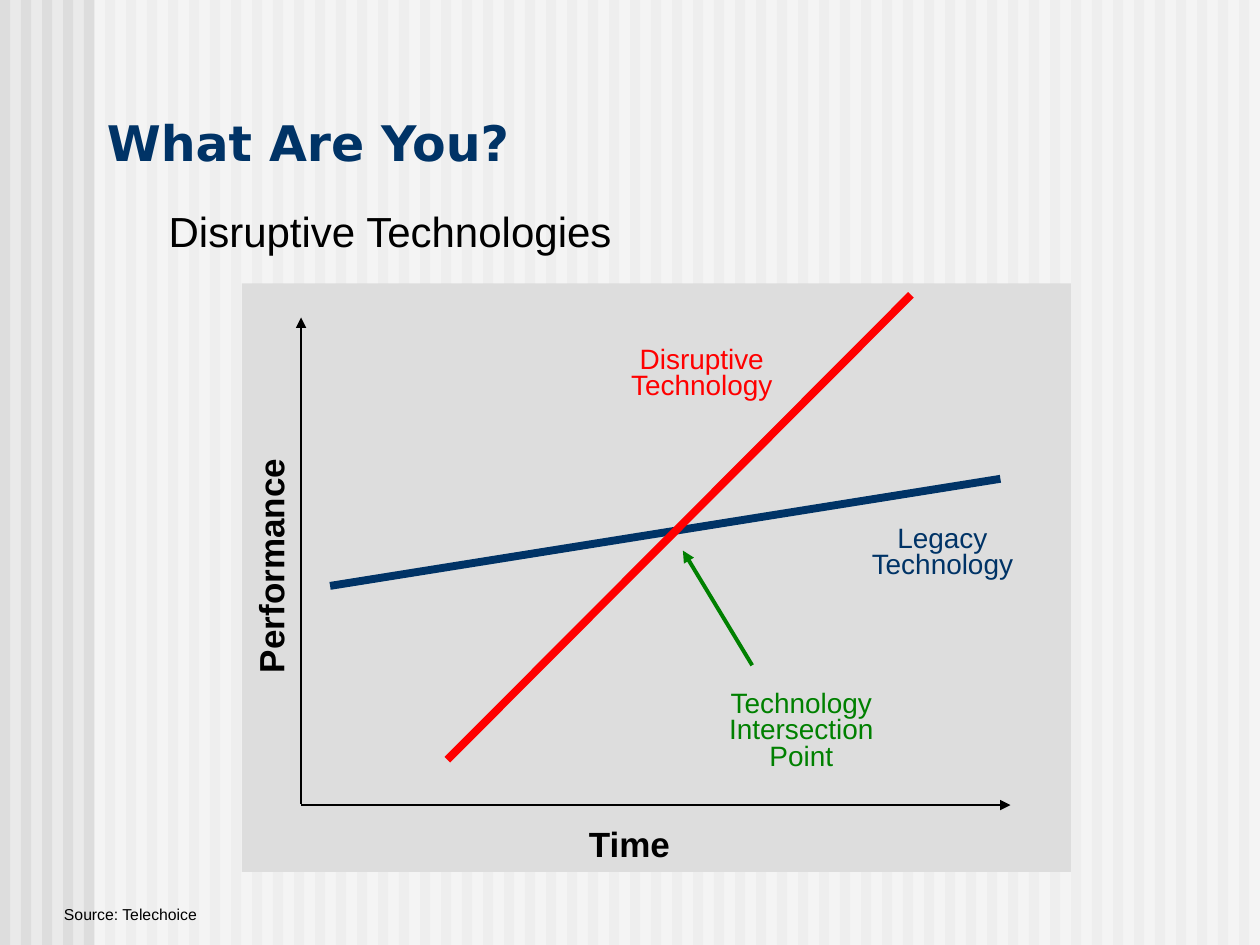
from lxml import etree
from pptx import Presentation
from pptx.dml.color import RGBColor
from pptx.enum.shapes import MSO_CONNECTOR as CONN, MSO_SHAPE as SHAPE
from pptx.enum.text import MSO_ANCHOR as ANCHOR, MSO_AUTO_SIZE as FIT, PP_ALIGN as ALIGN
from pptx.oxml.ns import qn
from pptx.util import Inches, Pt

BLACK, NAVY, RED, GREEN, GRAY = "000000", "003366", "FF0000", "008000", "DDDDDD"


def paint(fill, color, alpha=None):
    fill.solid()
    fill.fore_color.rgb = RGBColor.from_string(color)
    if alpha is not None:
        rgb = fill._xPr.find(qn("a:solidFill"))[0]
        etree.SubElement(rgb, qn("a:alpha"), val=str(alpha * 1000))


def add_rect(s, x, y, w, h, color, alpha=None):
    sp = s.shapes.add_shape(SHAPE.RECTANGLE, Inches(x), Inches(y), Inches(w), Inches(h))
    sp.shadow.inherit = False
    paint(sp.fill, color, alpha)
    sp.line.fill.background()


def add_line(s, start, end, color, width, arrow=False):
    ends = [Inches(v) for v in (*start, *end)]
    line = s.shapes.add_connector(CONN.STRAIGHT, *ends)
    paint(line.line.fill, color)
    line.line.width = Pt(width)
    if arrow:
        etree.SubElement(line.line._get_or_add_ln(), qn("a:tailEnd"), type="triangle")
    etree.SubElement(line._element.spPr, qn("a:effectLst"))


def add_text(s, text, x, y, w, h, size, color=BLACK, font="Arial", bold=False,
             align=ALIGN.LEFT, anchor=ANCHOR.TOP, spacing=None, rotation=0, wrap=False):
    sp = s.shapes.add_textbox(Inches(x), Inches(y), Inches(w), Inches(h))
    sp.rotation = rotation
    tf = sp.text_frame
    tf.word_wrap = wrap
    tf.auto_size = FIT.NONE if wrap else FIT.SHAPE_TO_FIT_TEXT
    tf.vertical_anchor = anchor
    tf.text = text
    for p in tf.paragraphs:
        p.alignment = align
        if spacing:
            p.line_spacing = spacing
        for r in p.runs:
            r.font.name = font
            r.font.size = Pt(size)
            r.font.bold = bold
            r.font.color.rgb = RGBColor.from_string(color)


def add_label(s, text, x, y, h, color):
    add_text(s, text, x, y, 1.4, h, 16, color, align=ALIGN.CENTER, spacing=0.8)


def add_axis_title(s, text, x, y, w, rotation=0):
    add_text(s, text, x, y, w, 0.44, 20, bold=True, align=ALIGN.CENTER, rotation=rotation)


def add_backdrop(s):
    paint(s.background.fill, "EAEAEA")
    for i in range(60):
        add_rect(s, i / 6, 0, 0.08, 7.5, GRAY)
    add_rect(s, 0.75, 0, 9.25, 7.5, "FFFFFF", alpha=50)


def add_diagram(s):
    add_rect(s, 1.92, 2.25, 6.58, 4.67, GRAY)
    add_line(s, (2.39, 6.38), (2.39, 2.52), BLACK, 0.75, arrow=True)
    add_line(s, (2.39, 6.39), (8.02, 6.39), BLACK, 0.75, arrow=True)
    add_axis_title(s, "Time", 4.57, 6.48, 0.85)
    add_axis_title(s, "Performance", 1.2, 4.27, 1.9, rotation=270)
    add_line(s, (2.62, 4.65), (7.94, 3.8), NAVY, 4.5)
    add_label(s, "Legacy\nTechnology", 6.78, 4.13, 0.53, NAVY)
    add_label(s, "Disruptive\nTechnology", 4.87, 2.71, 0.53, RED)
    add_line(s, (3.55, 6.03), (7.23, 2.34), RED, 4.5)
    add_line(s, (5.97, 5.28), (5.42, 4.37), GREEN, 2.25, arrow=True)
    add_label(s, "Technology\nIntersection\nPoint", 5.66, 5.44, 0.74, GREEN)


def main():
    prs = Presentation()
    prs.slide_width, prs.slide_height = Inches(10), Inches(7.5)
    s = prs.slides.add_slide(prs.slide_layouts[6])
    add_backdrop(s)
    add_text(s, "What Are You?", 0.75, 0.38, 6.5, 1.03, 28, NAVY, font="DejaVu Sans",
             bold=True, anchor=ANCHOR.BOTTOM, wrap=True)
    add_diagram(s)
    add_text(s, "Disruptive Technologies", 1.24, 1.58, 3.76, 0.5, 24)
    add_text(s, "Source: Telechoice", 0.41, 7.13, 1.27, 0.25, 9)
    prs.save("out.pptx")


if __name__ == "__main__":
    main()
